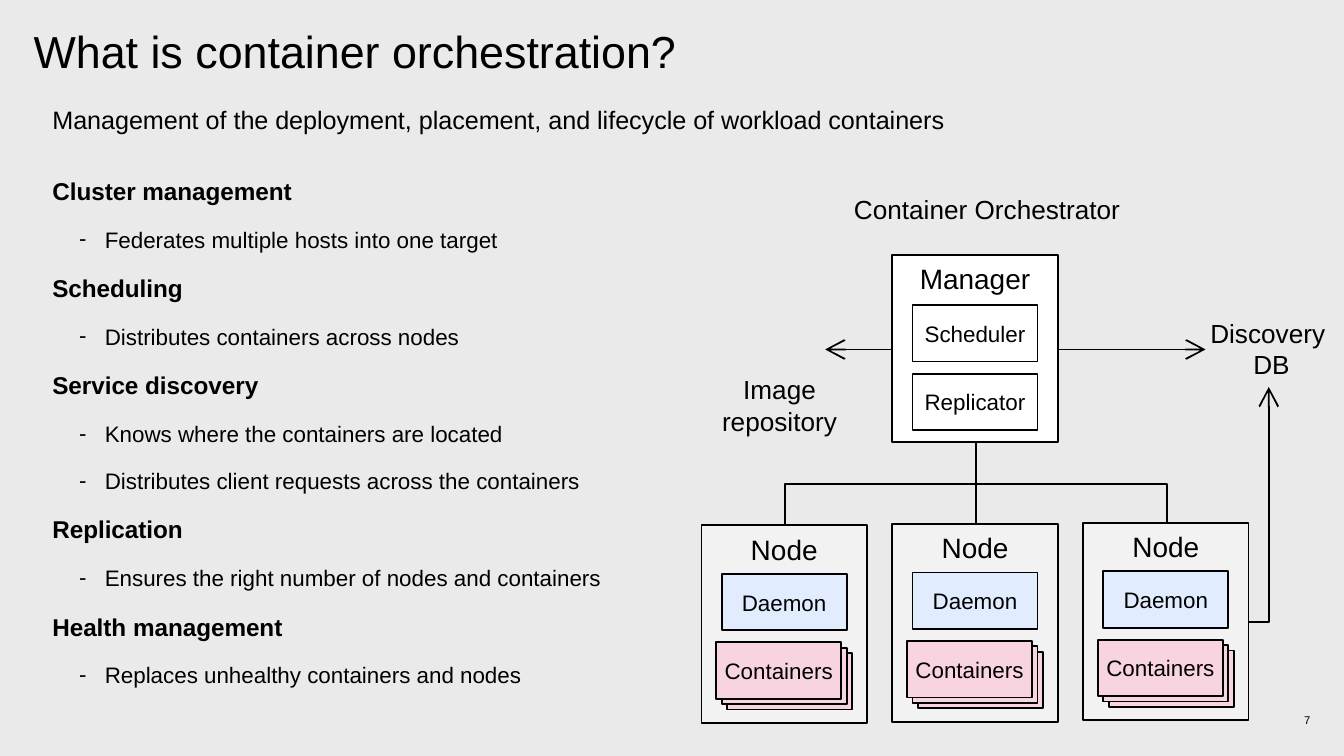
from lxml.etree import SubElement
from pptx import Presentation
from pptx.dml.color import RGBColor
from pptx.enum.shapes import MSO_CONNECTOR, MSO_SHAPE
from pptx.enum.text import MSO_ANCHOR, PP_ALIGN
from pptx.oxml.ns import qn
from pptx.util import Inches, Pt

HUES = {"back": "EAEAEA", "ink": "000000", "white": "FFFFFF",
        "node": "F2F2F2", "blue": "E1EDFF", "pink": "F8D4E0"}
INK = RGBColor.from_string(HUES["ink"])

deck = Presentation()
deck.slide_width, deck.slide_height = Inches(10), Inches(10 * 9 / 16)
slide = deck.slides.add_slide(deck.slide_layouts[6])
slide.background.fill.solid()
slide.background.fill.fore_color.rgb = RGBColor.from_string(HUES["back"])


def write(para, text, size, bold=False):
    run = para.add_run()
    run.text = text
    run.font.name = "Arial"
    run.font.size = Pt(size)
    run.font.bold = bold
    run.font.color.rgb = INK


def block(home, at, hue, text="", size=12, anchor=MSO_ANCHOR.MIDDLE):
    box = home.add_shape(MSO_SHAPE.RECTANGLE, *map(Inches, at))
    box.shadow.inherit = False
    box.fill.solid()
    box.fill.fore_color.rgb = RGBColor.from_string(HUES[hue])
    box.line.color.rgb = INK
    box.line.width = Pt(1)
    if text:
        frame = box.text_frame
        frame.word_wrap = False
        frame.vertical_anchor = anchor
        frame.paragraphs[0].alignment = PP_ALIGN.CENTER
        write(frame.paragraphs[0], text, size)


LEFT, MID, RIGHT = PP_ALIGN.LEFT, PP_ALIGN.CENTER, PP_ALIGN.RIGHT
labels = [
    ((0.25, 0.22, 7.78, 0.62), ["What is container orchestration?"], 24, LEFT),
    ((0.39, 0.78, 6.88, 0.46),
     ["Management of the deployment, placement, and lifecycle of workload containers"], 13.5, LEFT),
    ((7.5, 5.28, 2.25, 0.15), ["7"], 6, RIGHT),
    ((5.47, 1.44, 3.75, 0.37), ["Container Orchestrator"], 14, MID),
    ((5.19, 2.78, 1.22, 0.37), ["Image repository"], 14, MID),
    ((8.85, 2.36, 1.22, 0.37), ["Discovery ", "DB"], 14, MID),
]
for at, lines, size, align in labels:
    frame = slide.shapes.add_textbox(*map(Inches, at)).text_frame
    frame.word_wrap = True
    frame.margin_left = frame.margin_right = frame.margin_top = frame.margin_bottom = 0
    para = frame.paragraphs[0]
    para.alignment = align
    if size == 24:
        para.line_spacing = 0.9
    if size == 6:
        frame.vertical_anchor = MSO_ANCHOR.MIDDLE
    for i, line in enumerate(lines):
        if i:
            para.add_line_break()
        write(para, line, size)

topics = [
    ("Cluster management", ["Federates multiple hosts into one target"]),
    ("Scheduling", ["Distributes containers across nodes"]),
    ("Service discovery", ["Knows where the containers are located",
                           "Distributes client requests across the containers"]),
    ("Replication", ["Ensures the right number of nodes and containers"]),
    ("Health management", ["Replaces unhealthy containers and nodes"]),
]
frame = slide.shapes.add_textbox(*map(Inches, (0.13, 1.31, 4.73, 4.17))).text_frame
frame.word_wrap = True
frame.margin_left = frame.margin_right = frame.margin_top = frame.margin_bottom = 0
rows = [(text, not i) for head, facts in topics for i, text in enumerate([head] + facts)]
for i, (text, head) in enumerate(rows):
    para = frame.add_paragraph() if i else frame.paragraphs[0]
    if i:
        para.space_before = Pt(11)
    props = para._p.get_or_add_pPr()
    props.set("marL", str(Inches(0.26 if head else 0.65)))
    props.set("indent", str(Inches(0 if head else -0.19)))
    if not head:
        para.level = 1
        SubElement(props, qn("a:buFont"), typeface="Arial")
        SubElement(props, qn("a:buChar"), char="-")
    write(para, text, 13 if head else 12, head)

WIDE, TALL = 0.93, 0.42
block(slide.shapes, (6.64, 1.9, 1.23, 1.39), "white", "Manager", 15, MSO_ANCHOR.TOP)
for text, y in (("Scheduler", 2.27), ("Replicator", 2.78)):
    block(slide.shapes, (6.79, y, WIDE, TALL), "white", text)

for i in range(3):
    x, y = 5.22 + 1.42 * i, 3.91 - 0.01 * i
    block(slide.shapes, (x, y, 1.23, 1.47), "node", "Node", 15, MSO_ANCHOR.TOP)
    block(slide.shapes, (x + 0.15, y + 0.36, WIDE, TALL), "blue", "Daemon")
    stack = slide.shapes.add_group_shape().shapes
    for k in (2, 1, 0):
        at = (x + 0.11 + 0.04 * k, y + 0.87 + 0.04 * k, WIDE, TALL)
        block(stack, at, "pink", "" if k else "Containers")

BENT, LINE = MSO_CONNECTOR.ELBOW, MSO_CONNECTOR.STRAIGHT
links = [
    (BENT, (8.27, 2.88, 7.67, 4.3), 270, False),
    (BENT, (6.24, 2.89, 6.86, 4.31), 90, False),
    (LINE, (7.26, 3.29, 7.26, 3.9), 0, False),
    (BENT, (9.29, 4.63, 9.44, 2.88), 0, True),
    (LINE, (7.87, 2.6, 8.97, 2.6), 0, True),
    (LINE, (6.64, 2.6, 6.14, 2.6), 0, True),
]
for kind, ends, turn, arrow in links:
    link = slide.shapes.add_connector(kind, *map(Inches, ends))
    link.line.color.rgb = INK
    link.line.width = Pt(1)
    props = link._element.spPr
    shape = props.find(qn("a:prstGeom"))
    if turn:
        props.find(qn("a:xfrm")).set("rot", str(turn * 60000))
    if turn == 270:
        SubElement(shape.find(qn("a:avLst")), qn("a:gd"), name="adj1", fmla="val 51600")
    if kind == BENT and arrow:
        shape.set("prst", "bentConnector2")
    if arrow:
        SubElement(link.line._get_or_add_ln(), qn("a:tailEnd"), type="arrow", w="lg", len="lg")
    SubElement(props, qn("a:effectLst"))

deck.save("out.pptx")
